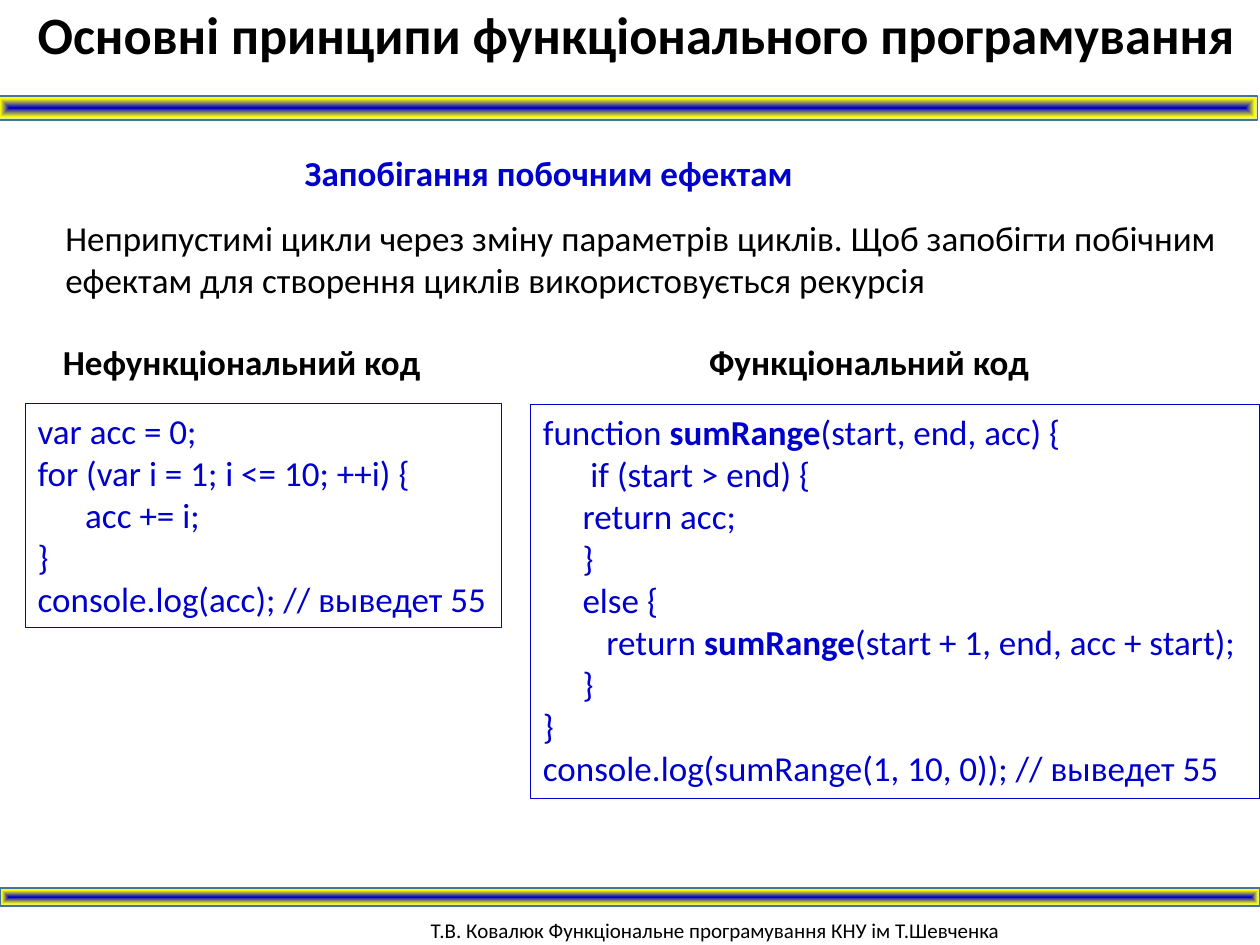
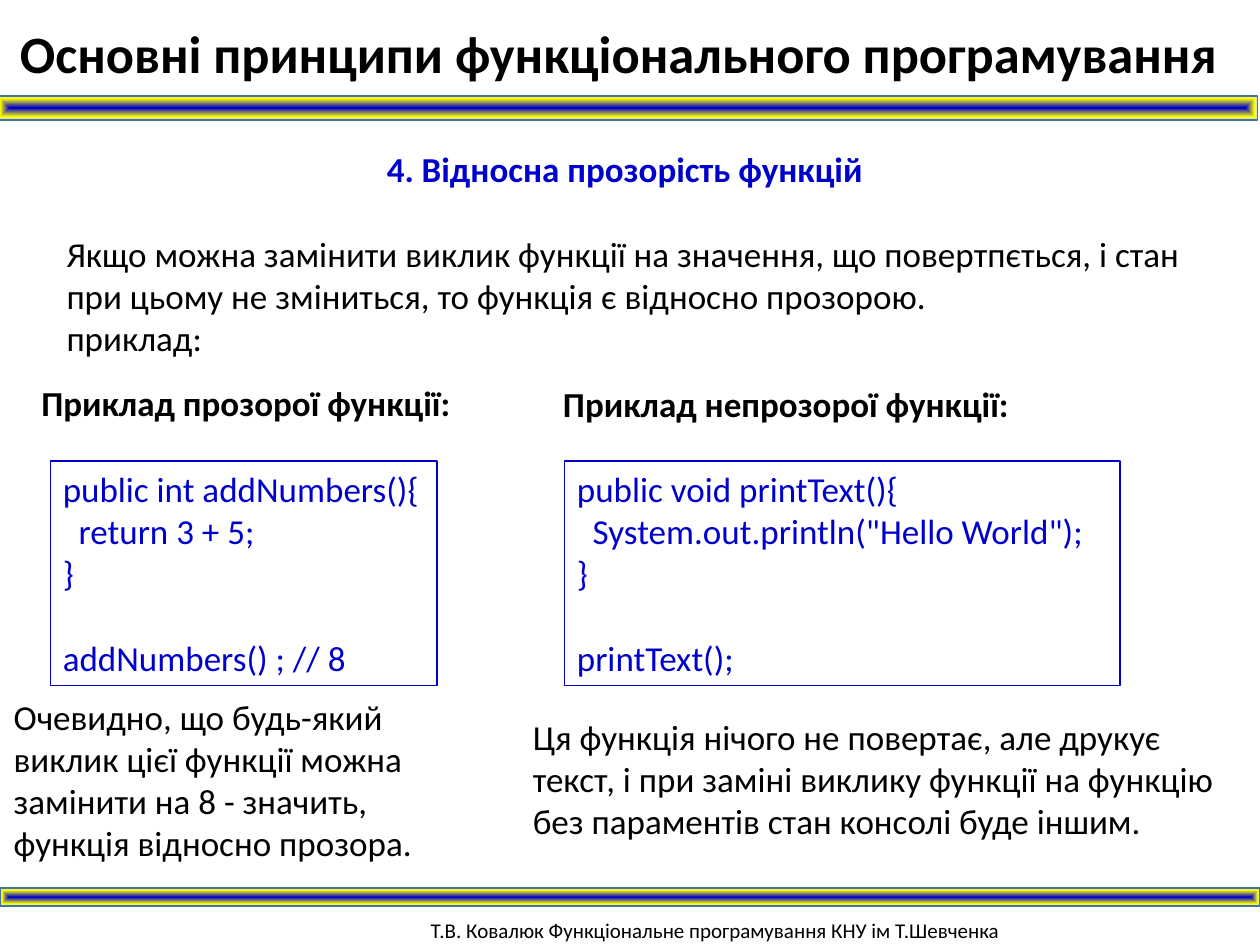
import pptx
import pptx.dml.color
import pptx.enum.shapes
import pptx.enum.text
import pptx.oxml
import pptx.oxml.ns
import pptx.util

Inches = pptx.util.Inches
Pt = pptx.util.Pt

BLUE = "0000CC"
BLACK = "000000"
EDGE = "43739E"
STOPS = [(0, BLUE), (77, "FFFF00"), (100, "CEE1F2")]
SPACE = 0.063
LINE = 24.4
TITLE = "Основні принципи функціонального програмування"
FOOTER = "Т.В. Ковалюк Функціональне програмування КНУ ім Т.Шевченка"

BASE = {"name": "Calibri", "size": Pt(20), "bold": False}
BOLD = {**BASE, "bold": True}
BIG = {**BOLD, "size": Pt(30)}
SMALL = {**BASE, "size": Pt(12)}


def tint(code):
    return pptx.dml.color.RGBColor.from_string(code)


def set_all(thing, style):
    for key, value in style.items():
        setattr(thing, key, value)


def add_run(para, text, style, color):
    run = para.add_run()
    run.text = text
    set_all(run.font, style)
    run.font.color.rgb = tint(color)


def add_text(slide, box, text, style=BASE, color=BLACK, wrap=True):
    frame = slide.shapes.add_textbox(*map(Inches, box)).text_frame
    frame.word_wrap = wrap
    add_run(frame.paragraphs[0], text, style, color)
    return frame


def add_rect(slide, box, line, width):
    kind = pptx.enum.shapes.MSO_SHAPE.RECTANGLE
    rect = slide.shapes.add_shape(kind, *map(Inches, box))
    rect.shadow.inherit = False
    rect.line.color.rgb = tint(line)
    rect.line.width = Pt(width)
    return rect


def add_band(slide, box):
    band = add_rect(slide, box, EDGE, 1)
    stops = "".join(
        f'<a:gs pos="{place * 1000}"><a:srgbClr val="{code}"/></a:gs>'
        for place, code in STOPS
    )
    fill = pptx.oxml.parse_xml(
        f'<a:gradFill {pptx.oxml.ns.nsdecls("a")} rotWithShape="1">'
        f'<a:gsLst>{stops}</a:gsLst><a:path path="shape">'
        '<a:fillToRect l="50000" t="50000" r="50000" b="50000"/>'
        '</a:path></a:gradFill>'
    )
    band.line._get_or_add_ln().addprevious(fill)


def add_code(slide, box, lines):
    rect = add_rect(slide, box, BLUE, 0.75)
    rect.fill.background()
    frame = rect.text_frame
    frame.word_wrap = True
    frame.vertical_anchor = pptx.enum.text.MSO_ANCHOR.TOP
    for row, (depth, text, *gap) in enumerate(lines):
        para = frame.add_paragraph() if row else frame.paragraphs[0]
        para.alignment = pptx.enum.text.PP_ALIGN.LEFT
        para._p.get_or_add_pPr().set("marL", str(Inches(depth * SPACE)))
        if gap:
            para.space_before = Pt(gap[0])
        for part, chunk in enumerate(text.split("*")):
            add_run(para, chunk, BOLD if part % 2 else BASE, BLUE)


def add_page(deck, left, top):
    slide = deck.slides.add_slide(deck.slide_layouts[6])
    add_text(slide, (3.32, 7.23, 6, 0.32), FOOTER, SMALL)
    add_band(slide, (-0.02, 0.76, 10, 0.19))
    add_band(slide, (0, 7.05, 10, 0.14))
    add_text(slide, (left, top, 9.8, 0.61), TITLE, BIG)
    return slide


def add_loops(deck):
    slide = add_page(deck, 0.2, -0.03)
    add_text(slide, (2.32, 1.15, 4.1, 0.44), "Запобігання побочним ефектам",
             BOLD, BLUE, False)
    add_text(slide, (0.42, 1.67, 9.46, 1.11),
             "Неприпустимі цикли через зміну параметрів циклів. Щоб запобігти "
             "побічним ефектам для створення циклів використовується рекурсія")
    for left, text in [(0.4, "Нефункціональний код"), (5.53, "Функціональний код")]:
        add_text(slide, (left, 2.65, 3.15, 0.44), text, BOLD)
    add_code(slide, (0.2, 3.2, 3.78, 1.78), [
        (0, "var acc = 0;"),
        (0, "for (var i = 1; i <= 10; ++i) {"),
        (6, "acc += i;"),
        (0, "}"),
        (0, "console.log(acc); // выведет 55"),
    ])
    add_code(slide, (4.21, 3.21, 5.79, 3.13), [
        (0, "function *sumRange*(start, end, acc) {"),
        (6, "if (start > end) {"),
        (5, "return acc;"),
        (5, "}"),
        (5, "else {"),
        (8, "return *sumRange*(start + 1, end, acc + start);"),
        (5, "}"),
        (0, "}"),
        (0, "console.log(sumRange(1, 10, 0)); // выведет 55"),
    ])


def add_clear(deck):
    slide = add_page(deck, 0.06, 0.12)
    frame = add_text(slide, (0.43, 1.12, 9.06, 1.78),
                     "4. Відносна прозорість функцій", BOLD, BLUE)
    frame.paragraphs[0].alignment = pptx.enum.text.PP_ALIGN.CENTER
    frame.paragraphs[0].space_after = Pt(LINE)
    for text in [
        "Якщо можна замінити виклик функції на значення, що повертпється, "
        "і стан при цьому не зміниться, то функція є відносно прозорою.",
        "приклад:",
    ]:
        add_run(frame.add_paragraph(), text, BASE, BLACK)
    add_text(slide, (0.23, 2.98, 3.47, 0.44), "Приклад прозорої функції:",
             BOLD, wrap=False)
    add_text(slide, (4.37, 2.99, 3.77, 0.44), "Приклад непрозорої функції:",
             BOLD, wrap=False)
    add_code(slide, (0.4, 3.66, 3.07, 1.78), [
        (0, "public int addNumbers(){"),
        (2, "return 3 + 5;"),
        (0, "}"),
        (0, "addNumbers() ; // 8", LINE),
    ])
    add_code(slide, (4.48, 3.66, 4.41, 1.78), [
        (0, "public void printText(){"),
        (2, 'System.out.println("Hello World");'),
        (0, "}"),
        (0, "printText();", LINE),
    ])
    add_text(slide, (0.01, 5.47, 3.47, 1.45),
             "Очевидно, що будь-який виклик цієї функції можна замінити на 8 - "
             "значить, функція відносно прозора.")
    add_text(slide, (4.13, 5.63, 5.75, 1.11),
             "Ця функція нічого не повертає, але друкує текст, і при заміні "
             "виклику функції на функцію без параментів стан консолі буде іншим.")


def main():
    deck = pptx.Presentation()
    set_all(deck, {"slide_width": Inches(10), "slide_height": Inches(7.5)})
    add_loops(deck)
    add_clear(deck)
    deck.save("out.pptx")


if __name__ == "__main__":
    main()
